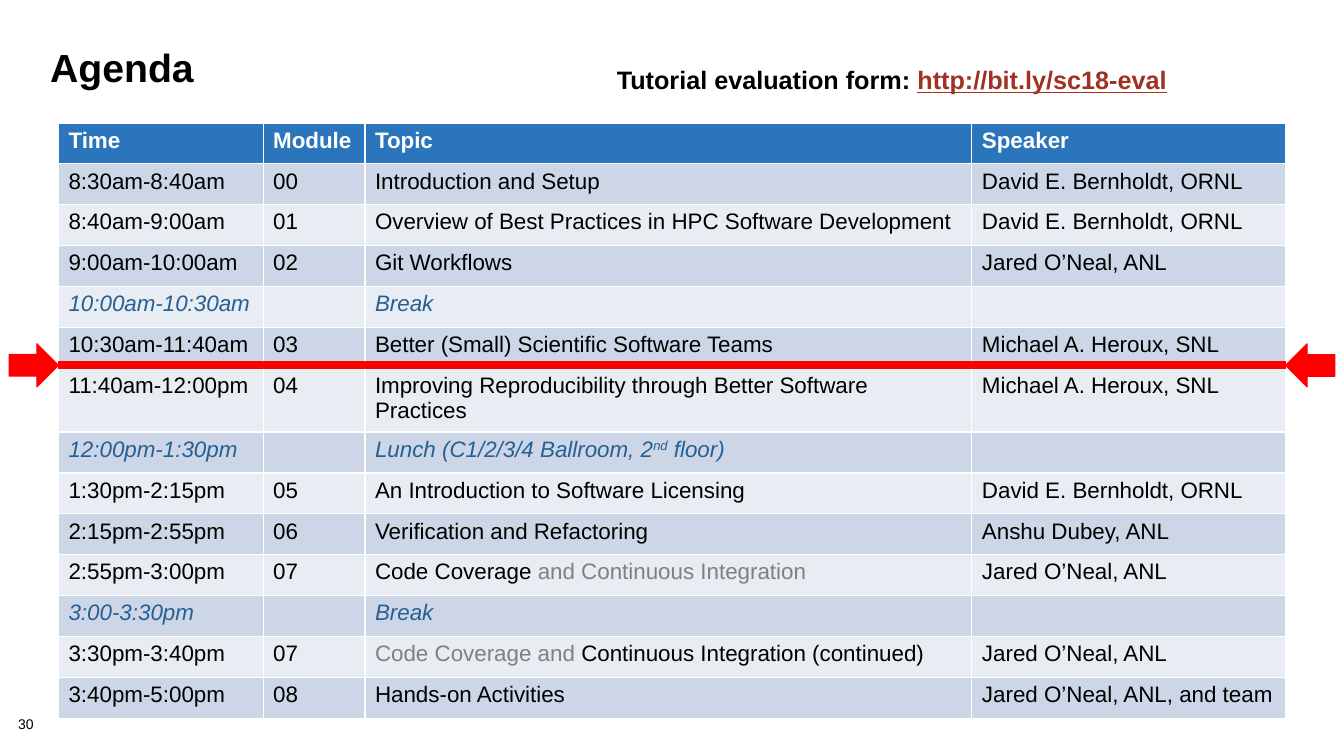
from lxml import etree
from pptx import Presentation
from pptx.dml.color import RGBColor
from pptx.enum import shapes, text
from pptx.oxml.ns import qn
from pptx.util import Inches, Pt

BLACK = RGBColor(0x00, 0x00, 0x00)
WHITE = RGBColor(0xFF, 0xFF, 0xFF)
GRAY = RGBColor(0x80, 0x80, 0x80)
RED = RGBColor(0xFF, 0x00, 0x00)
LINK_RED = RGBColor(0xA0, 0x31, 0x23)
HEADER_BLUE = RGBColor(0x2A, 0x75, 0xBB)
BREAK_BLUE = RGBColor(0x26, 0x60, 0x93)
BAND_DARK = RGBColor(0xCD, 0xD6, 0xE7)
BAND_LIGHT = RGBColor(0xE8, 0xEC, 0xF3)


def write(paragraph, words, size=16, color=BLACK, bold=False, italic=False,
          underline=False, superscript=False):
    run = paragraph.add_run()
    run.text = words
    font = run.font
    font.name, font.size, font.color.rgb = "Arial", Pt(size), color
    font.bold, font.italic, font.underline = bold, italic, underline
    if superscript:
        run._r.get_or_add_rPr().set("baseline", "30000")


def add_line_of_text(left, top, width, height, spacing, inset=None, wrap=True):
    frame = slide.shapes.add_textbox(
        Inches(left), Inches(top), Inches(width), Inches(height)).text_frame
    frame.word_wrap = wrap
    frame.vertical_anchor = text.MSO_ANCHOR.TOP
    if inset is not None:
        frame.margin_left = frame.margin_right = Inches(inset)
        frame.margin_top = frame.margin_bottom = Inches(inset)
    frame.paragraphs[0].line_spacing = spacing
    return frame.paragraphs[0]


prs = Presentation()
prs.slide_width, prs.slide_height = Inches(13.33), Inches(7.5)
slide = prs.slides.add_slide(prs.slide_layouts[6])

page_number = add_line_of_text(0.18, 7.12, 0.56, 0.16, 0.9, inset=0)
write(page_number, "30", size=10)

title = add_line_of_text(0.4, 0.45, 12.44, 1, 0.85)
write(title, "Agenda", size=28, bold=True)

bernholdt = "David E. Bernholdt, ORNL"
oneal = "Jared O’Neal, ANL"
heroux = "Michael A. Heroux, SNL"
sessions = [
    ("Time", "Module", "Topic", "Speaker"),
    ("8:30am-8:40am", "00", "Introduction and Setup", bernholdt),
    ("8:40am-9:00am", "01", "Overview of Best Practices in HPC Software Development", bernholdt),
    ("9:00am-10:00am", "02", "Git Workflows", oneal),
    ("10:00am-10:30am", "", "Break", ""),
    ("10:30am-11:40am", "03", "Better (Small) Scientific Software Teams", heroux),
    ("11:40am-12:00pm", "04", "Improving Reproducibility through Better Software Practices", heroux),
    ("12:00pm-1:30pm", "",
     [("Lunch (C1/2/3/4 Ballroom, 2", {}), ("nd", {"superscript": True}), (" floor)", {})], ""),
    ("1:30pm-2:15pm", "05", "An Introduction to Software Licensing", bernholdt),
    ("2:15pm-2:55pm", "06", "Verification and Refactoring", "Anshu Dubey, ANL"),
    ("2:55pm-3:00pm", "07",
     [("Code Coverage ", {}), ("and Continuous Integration", {"color": GRAY})], oneal),
    ("3:00-3:30pm", "", "Break", ""),
    ("3:30pm-3:40pm", "07",
     [("Code Coverage and ", {"color": GRAY}), ("Continuous Integration (continued)", {})], oneal),
    ("3:40pm-5:00pm", "08", "Hands-on Activities", "Jared O’Neal, ANL, and team"),
]
agenda = slide.shapes.add_table(
    len(sessions), 4, Inches(0.58), Inches(1.22), Inches(12.17), Inches(5.68)).table
for column, width in zip(agenda.columns, (2.03, 1.01, 6.02, 3.11)):
    column.width = Inches(width)

for row, session in enumerate(sessions):
    if row == 0:
        fill, style = HEADER_BLUE, {"color": WHITE, "bold": True}
    else:
        fill = BAND_DARK if row % 2 else BAND_LIGHT
        is_pause = not session[1]
        style = {"color": BREAK_BLUE, "italic": True} if is_pause else {}
    for col, content in enumerate(session):
        cell = agenda.cell(row, col)
        cell.fill.solid()
        cell.fill.fore_color.rgb = fill
        paragraph = cell.text_frame.paragraphs[0]
        if not content:
            paragraph.font.size = Pt(16)
            continue
        parts = [(content, {})] if isinstance(content, str) else content
        for words, emphasis in parts:
            write(paragraph, words, **{**style, **emphasis})

evaluation = add_line_of_text(5.99, 0.44, 5.71, 0.5, 1.5, wrap=False)
evaluation.alignment = text.PP_ALIGN.CENTER
write(evaluation, "Tutorial evaluation form: ", size=18, bold=True)
write(evaluation, "http://bit.ly/sc18-eval", size=18, bold=True, color=LINK_RED, underline=True)

progress_marker = slide.shapes.add_group_shape().shapes
progress_line = progress_marker.add_connector(
    shapes.MSO_CONNECTOR.STRAIGHT, Inches(0.58), Inches(3.62), Inches(12.75), Inches(3.62))
progress_line.line.color.rgb = RED
progress_line.line.width = Pt(6)
etree.SubElement(progress_line._element.spPr, qn("a:effectLst"))

for left, rotation in ((0.09, 0), (12.75, 180)):
    arrow = progress_marker.add_shape(
        shapes.MSO_SHAPE.RIGHT_ARROW, Inches(left), Inches(3.41), Inches(0.49), Inches(0.43))
    arrow.rotation = rotation
    arrow.shadow.inherit = False
    arrow.fill.solid()
    arrow.fill.fore_color.rgb = RED
    arrow.line.color.rgb = RED
    arrow.line.width = Pt(0.75)

prs.save("out.pptx")
